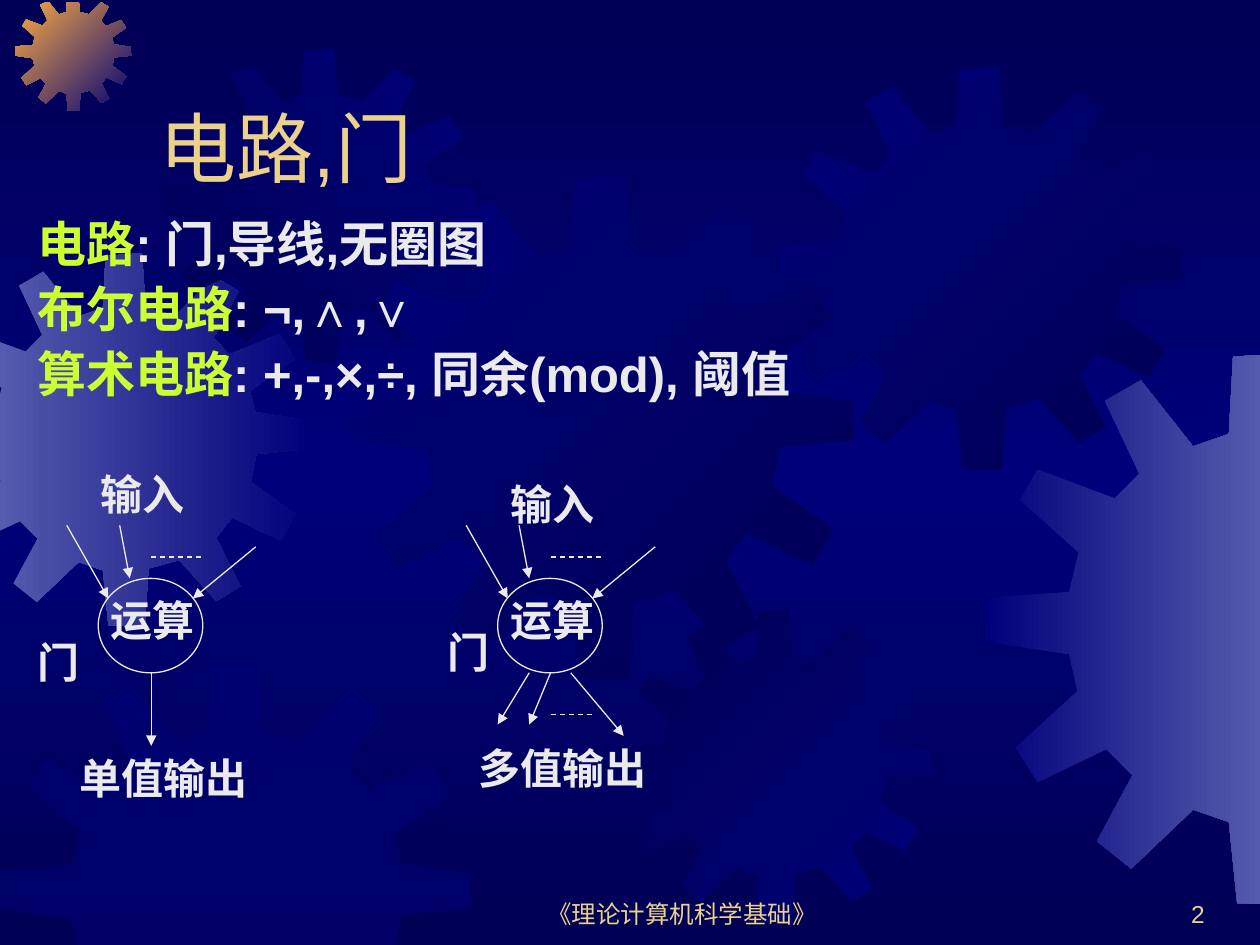
from copy import deepcopy

from lxml.etree import SubElement
from pptx import Presentation
from pptx.dml.color import RGBColor
from pptx.enum.dml import MSO_LINE
from pptx.enum.shapes import MSO_CONNECTOR, MSO_SHAPE
from pptx.enum.text import MSO_ANCHOR, PP_ALIGN
from pptx.oxml.ns import qn
from pptx.util import Inches, Pt

THEME = {
    "navy": RGBColor.from_string("000054"),
    "blue": RGBColor.from_string("00007A"),
    "lilac": RGBColor.from_string("555BAD"),
    "orange": RGBColor.from_string("FCAB40"),
    "gold": RGBColor.from_string("EBD189"),
    "lime": RGBColor.from_string("CCFF33"),
    "light": RGBColor.from_string("EAEAEA"),
    "title": Pt(44),
    "body": Pt(28),
    "label": Pt(24),
    "footer": Pt(14),
    "line": Pt(0.75),
    "font": "Arial",
    "label font": "Arial Narrow",
}

GEAR_SIZE = 401
GEAR = [
    (255, 67), (223, 59), (219, 0), (180, 3), (177, 59), (151, 68), (113, 20), (87, 35),
    (112, 88), (94, 106), (38, 85), (25, 107), (68, 145), (61, 174), (1, 178), (0, 210),
    (61, 219), (67, 246), (22, 287), (38, 312), (88, 288), (107, 307), (81, 355), (106, 375),
    (151, 332), (177, 341), (183, 400), (222, 401), (226, 339), (259, 330), (299, 374), (325, 358),
    (299, 306), (316, 284), (368, 309), (384, 281), (336, 246), (342, 216), (401, 210), (400, 180),
    (341, 171), (335, 148), (383, 114), (367, 87), (313, 109), (296, 91), (323, 41), (297, 25),
]
GEARS = [
    (-0.49, 2.01, 2.96, "lilac", "blue", 0),
    (0.12, -0.04, 0.92, "orange", "blue", 45),
    (1.3, 0.39, 2.48, "navy", "blue", 315),
    (2.77, 1.39, 4.01, "blue", "navy", 45),
    (0, 5.25, 3.74, "blue", None, 0),
    (4.91, 4.84, 2.48, "navy", "blue", 45),
    (6.18, 0.53, 3.2, "blue", "navy", 45),
    (7.82, 2.8, 4.38, "blue", "lilac", 0),
]
EDGES = [(0, -0.01, 1), (0, 10.01, -1), (1, 0.02, 1), (1, 7.54, -1)]


def clip(points, axis, limit, side):
    kept = []
    for start, end in zip(points, points[1:] + points[:1]):
        start_inside = (start[axis] - limit) * side >= 0
        end_inside = (end[axis] - limit) * side >= 0
        if start_inside:
            kept.append(start)
        if start_inside != end_inside:
            share = (limit - start[axis]) / (end[axis] - start[axis])
            kept.append(tuple(a + share * (b - a) for a, b in zip(start, end)))
    return kept


def add_text(slide, place, lines, size, font="font", bold=False,
             align=PP_ALIGN.LEFT, anchor=MSO_ANCHOR.TOP):
    frame = slide.shapes.add_textbox(*map(Inches, place)).text_frame
    frame.word_wrap = True
    frame.vertical_anchor = anchor
    for index, line in enumerate(lines):
        paragraph = frame.add_paragraph() if index else frame.paragraphs[0]
        paragraph.alignment = align
        paragraph.font.size = THEME[size]
        paragraph.font.name = THEME[font]
        paragraph.font.bold = bold
        for text, color in line:
            run = paragraph.add_run()
            run.text = text
            run.font.color.rgb = THEME[color]
    return frame


presentation = Presentation()
presentation.slide_width = Inches(10)
presentation.slide_height = Inches(7.5)
slide = presentation.slides.add_slide(presentation.slide_layouts[6])

background = slide.background.fill
background.gradient()
background.gradient_angle = 270
stop_list = slide.element.find(".//" + qn("a:gsLst"))
stop_list.append(deepcopy(stop_list[-1]))
for stop, position, color in zip(background.gradient_stops, (0, 0.5, 1), ("navy", "blue", "navy")):
    stop.position = position
    stop.color.rgb = THEME[color]

for left, top, size, first, last, angle in GEARS:
    points = [(left + x * size / GEAR_SIZE, top + y * size / GEAR_SIZE) for x, y in GEAR]
    for edge in EDGES:
        points = clip(points, *edge)
    corners = [(Inches(x), Inches(y)) for x, y in points]
    builder = slide.shapes.build_freeform(*corners[0])
    builder.add_line_segments(corners[1:], close=True)
    gear = builder.convert_to_shape()
    gear.shadow.inherit = False
    gear.line.fill.background()
    if last:
        gear.fill.gradient()
        gear.fill.gradient_angle = -angle % 360
        for stop, color in zip(gear.fill.gradient_stops, (first, last)):
            stop.color.rgb = THEME[color]
    else:
        gear.fill.solid()
        gear.fill.fore_color.rgb = THEME[first]
        solid_color = gear.element.spPr.find(".//" + qn("a:srgbClr"))
        SubElement(solid_color, qn("a:alpha"), val="50000")

add_text(slide, (3.83, 6.92, 3.17, 0.5), [[("《理论计算机科学基础》", "gold")]], "footer",
         align=PP_ALIGN.CENTER, anchor=MSO_ANCHOR.BOTTOM)
add_text(slide, (7.58, 6.92, 2.08, 0.5), [[("2", "gold")]], "footer",
         align=PP_ALIGN.RIGHT, anchor=MSO_ANCHOR.BOTTOM)
add_text(slide, (1.17, 0.33, 8.5, 1.25), [[("电路,门", "gold")]], "title",
         anchor=MSO_ANCHOR.BOTTOM)

body = add_text(slide, (0.2, 1.7, 8.5, 2.08), [
    [("电路", "lime"), (": 门,导线,无圈图", "light")],
    [("布尔电路", "lime"), (": ¬,∧,∨", "light")],
    [("算术电路", "lime"), (": +,-,×,÷, 同余(mod), 阈值", "light")],
], "body", bold=True)
for paragraph in body.paragraphs:
    paragraph.line_spacing = 0.9
    paragraph.space_before = Pt(6.7)

INPUTS = [(0.53, 4.17, 0.86, 4.75), (0.95, 4.17, 1.03, 4.59), (2.03, 4.34, 1.53, 4.75)]
INPUT_DOTS = (1.2, 4.42, 1.61, 4.42)
GATES = [
    {
        "offset": 0,
        "arrows": [(1.2, 5.34, 1.2, 5.92)],
        "dots": [],
        "labels": [("门", 0.2, 5, 0.67), ("输入", 0.7, 3.67, 0.92), ("单值输出", 0.53, 5.92, 1.67)],
    },
    {
        "offset": 3.17,
        "arrows": [(1.03, 5.34, 0.78, 5.75), (1.2, 5.34, 1.03, 5.75), (1.36, 5.34, 1.78, 5.84)],
        "dots": [(1.2, 5.67, 1.53, 5.67)],
        "labels": [("门", 0.28, 4.92, 0.67), ("输入", 0.78, 3.75, 0.92), ("多值输出", 0.53, 5.84, 1.67)],
    },
]
for gate in GATES:
    offset = gate["offset"]
    circle = slide.shapes.add_shape(
        MSO_SHAPE.OVAL, Inches(0.78 + offset), Inches(4.59), Inches(0.83), Inches(0.75))
    circle.shadow.inherit = False
    circle.fill.background()
    circle.line.color.rgb = THEME["light"]
    circle.line.width = THEME["line"]
    for text, left, top, width in [("运算", 0.78, 4.67, 1.08)] + gate["labels"]:
        add_text(slide, (left + offset, top, width, 0.5), [[(text, "light")]], "label",
                 font="label font", bold=True)
    arrows = INPUTS + gate["arrows"]
    for index, (x1, y1, x2, y2) in enumerate(arrows + [INPUT_DOTS] + gate["dots"]):
        connector = slide.shapes.add_connector(
            MSO_CONNECTOR.STRAIGHT, Inches(x1 + offset), Inches(y1), Inches(x2 + offset), Inches(y2))
        connector.line.color.rgb = THEME["light"]
        connector.line.width = THEME["line"]
        if index < len(arrows):
            SubElement(connector.line._get_or_add_ln(), qn("a:tailEnd"), type="triangle")
        else:
            connector.line.dash_style = MSO_LINE.DASH
        SubElement(connector.element.spPr, qn("a:effectLst"))

presentation.save("out.pptx")
